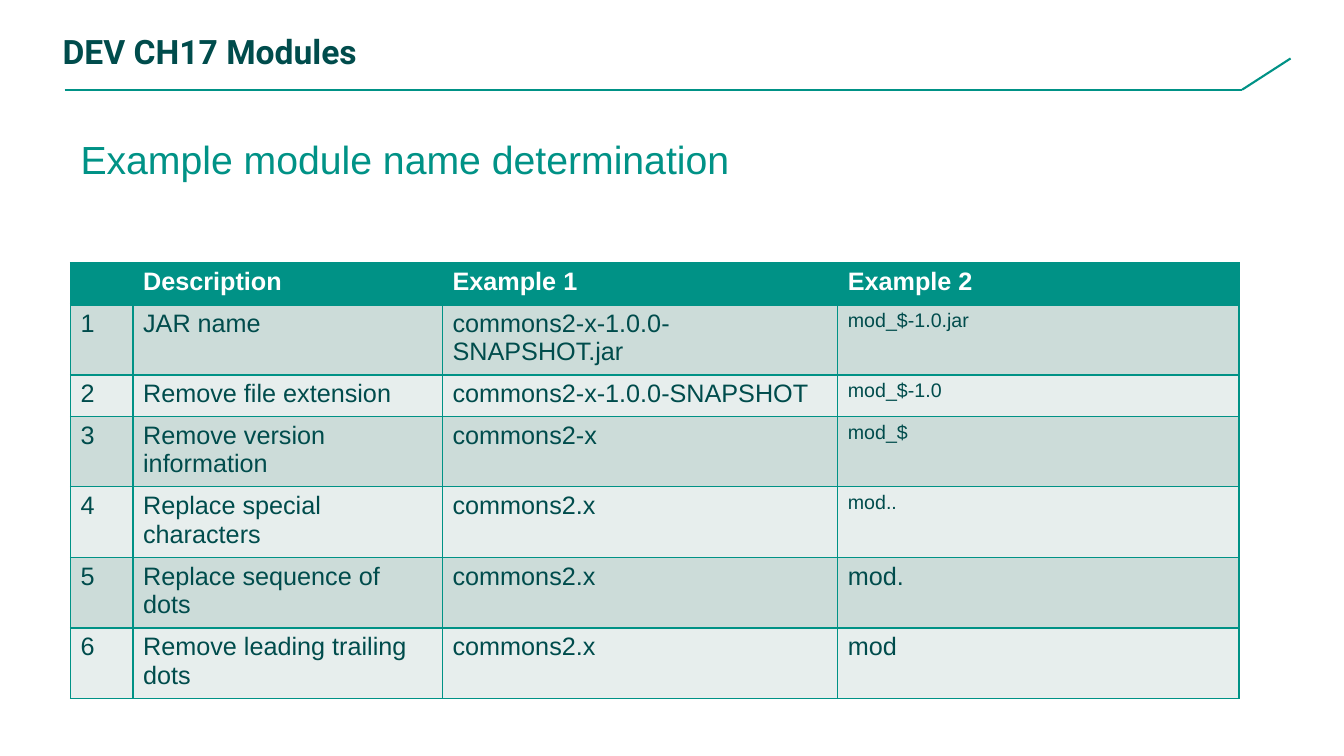
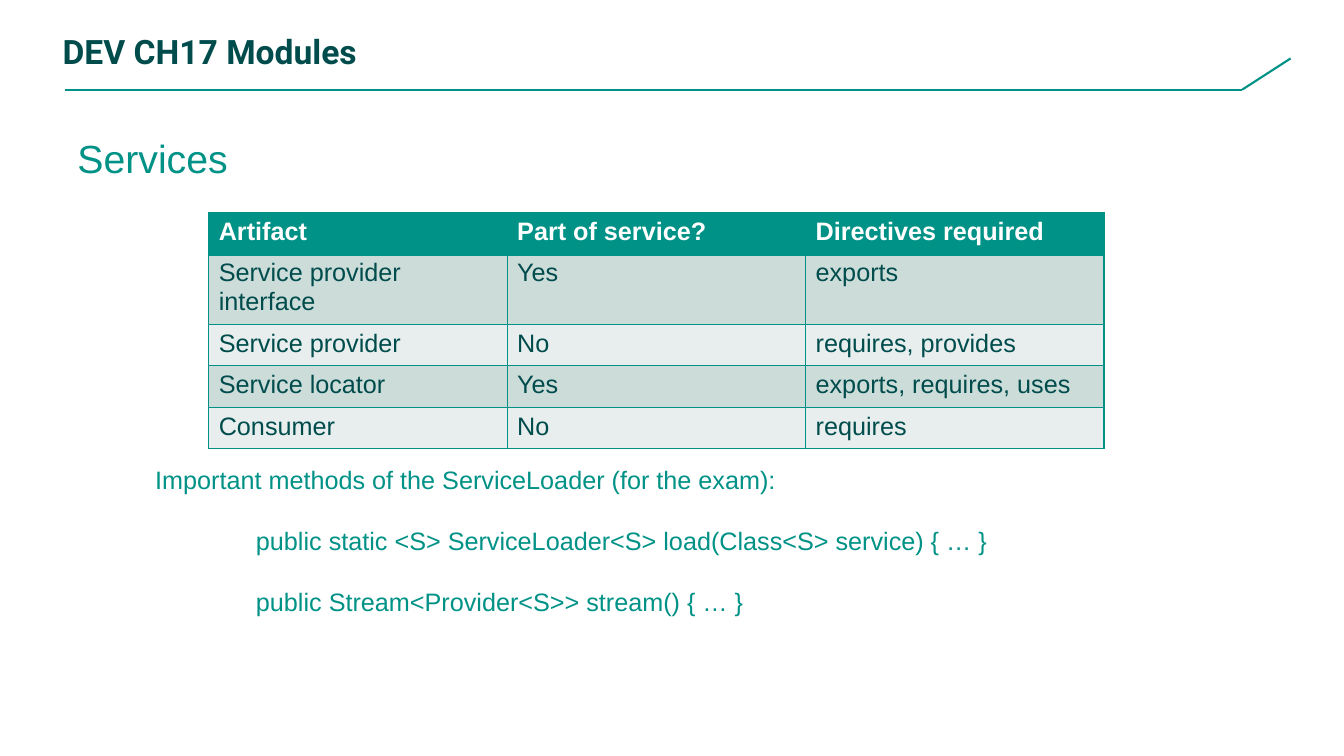
from dataclasses import dataclass

from lxml import etree
from pptx import Presentation
from pptx import util as u
from pptx.dml.color import RGBColor
from pptx.enum import shapes, text
from pptx.oxml import ns


@dataclass(frozen=True)
class Theme:
    teal: str = "009286"
    ink: str = "004C4C"
    white: str = "FFFFFF"
    bands: tuple = ("CCDCD9", "E7EEED")
    title_font: str = "Roboto"
    body_font: str = "Arial"
    title_size: float = 24
    heading_size: float = 28
    body_size: float = 18
    small_size: float = 14
    rule_width: float = 1.5
    border_width: float = 1
    header_border_width: float = 3


THEME = Theme()
SECTION = "DEV CH17 Modules"
RULE_POINTS = [(0.64, 0.89), (12.32, 0.89), (12.8, 0.58)]
ONE_LINE, TWO_LINES = 0.41, 0.66

SLIDES = [
    {
        "heading": "Example module name determination",
        "heading_box": (0.7, 1.29, 9.85, 0.57),
        "table_at": (0.7, 2.61),
        "columns": [0.62, 3.07, 3.92, 3.98],
        "heights": [ONE_LINE, TWO_LINES, ONE_LINE] + [TWO_LINES] * 4,
        "rows": [
            ("", "Description", "Example 1", "Example 2"),
            ("1", "JAR name", "commons2‐x‐1.0.0‐SNAPSHOT.jar", "mod_$‐1.0.jar"),
            ("2", "Remove file extension", "commons2‐x‐1.0.0‐SNAPSHOT", "mod_$‐1.0"),
            ("3", "Remove version information", "commons2‐x", "mod_$"),
            ("4", "Replace special characters", "commons2.x", "mod.."),
            ("5", "Replace sequence of dots", "commons2.x", "mod."),
            ("6", "Remove leading trailing dots", "commons2.x", "mod"),
        ],
        "small_cells": [(row, 3) for row in range(1, 5)],
    },
    {
        "heading": "Services",
        "heading_box": (0.67, 1.28, 11.69, 0.57),
        "table_at": (2.07, 2.11),
        "columns": [2.96] * 3,
        "heights": [ONE_LINE, 0.68] + [ONE_LINE] * 3,
        "rows": [
            ("Artifact", "Part of service?", "Directives required"),
            ("Service provider interface", "Yes", "exports"),
            ("Service provider", "No", "requires, provides"),
            ("Service locator", "Yes", "exports, requires, uses"),
            ("Consumer", "No", "requires"),
        ],
        "methods_box": (1.44, 4.56, 10.15, 1.62),
        "methods": [
            "Important methods of the ServiceLoader (for the exam):",
            "public static <S> ServiceLoader<S> load(Class<S> service) { … }",
            "public Stream<Provider<S>> stream() { … }",
        ],
    },
]


def inches(values):
    return [u.Inches(value) for value in values]


def style_runs(paragraph, size, color, font=THEME.body_font, bold=False):
    for run in paragraph.runs:
        run.font.size = u.Pt(size)
        run.font.name = font
        run.font.bold = bold
        run.font.color.rgb = RGBColor.from_string(color)


def add_title(slide):
    title = slide.shapes.title
    title.left, title.top, title.width, title.height = inches((0.52, 0.21, 12.6, 0.55))
    frame = title.text_frame
    frame.text = SECTION
    frame.auto_size = text.MSO_AUTO_SIZE.NONE
    frame.vertical_anchor = text.MSO_ANCHOR.BOTTOM
    paragraph = frame.paragraphs[0]
    paragraph.alignment = text.PP_ALIGN.LEFT
    paragraph.line_spacing = u.Pt(18.8)
    style_runs(paragraph, THEME.title_size, THEME.ink, THEME.title_font, True)


def add_rule(slide):
    for start, end in zip(RULE_POINTS, RULE_POINTS[1:]):
        rule = slide.shapes.add_connector(
            shapes.MSO_CONNECTOR.STRAIGHT, *inches(start + end))
        rule.line.color.rgb = RGBColor.from_string(THEME.teal)
        rule.line.width = u.Pt(THEME.rule_width)
        etree.SubElement(rule.line._get_or_add_ln().getparent(), ns.qn("a:effectLst"))


def add_text(slide, box, lines, size, gap=0, indent=0):
    frame = slide.shapes.add_textbox(*inches(box)).text_frame
    frame.word_wrap = True
    frame.text = "\n".join(lines)
    for index, paragraph in enumerate(frame.paragraphs):
        if index:
            paragraph.space_before = u.Pt(gap)
            paragraph._p.get_or_add_pPr().set("marL", str(u.Inches(indent)))
        style_runs(paragraph, size, THEME.teal)


def set_borders(cell, bottom_width):
    properties = cell._tc.get_or_add_tcPr()
    for index, side in enumerate("LRTB"):
        width = bottom_width if side == "B" else THEME.border_width
        border = etree.Element(ns.qn(f"a:ln{side}"), w=str(u.Pt(width)))
        fill = etree.SubElement(border, ns.qn("a:solidFill"))
        etree.SubElement(fill, ns.qn("a:srgbClr"), val=THEME.teal)
        properties.insert(index, border)


def add_grid(slide, content):
    rows, columns, heights = content["rows"], content["columns"], content["heights"]
    size = (sum(columns), sum(heights))
    table = slide.shapes.add_table(
        len(rows), len(columns), *inches(content["table_at"] + size)).table
    table.horz_banding = False
    for column, width in zip(table.columns, columns):
        column.width = u.Inches(width)
    for row, height in zip(table.rows, heights):
        row.height = u.Inches(height)
    small_cells = content.get("small_cells", [])
    for r, values in enumerate(rows):
        header = r == 0
        for c, value in enumerate(values):
            cell = table.cell(r, c)
            cell.text_frame.text = value
            style_runs(
                cell.text_frame.paragraphs[0],
                THEME.small_size if (r, c) in small_cells else THEME.body_size,
                THEME.white if header else THEME.ink,
                bold=header)
            cell.fill.solid()
            cell.fill.fore_color.rgb = RGBColor.from_string(
                THEME.teal if header else THEME.bands[(r - 1) % 2])
            set_borders(
                cell, THEME.header_border_width if header else THEME.border_width)


def main():
    deck = Presentation()
    deck.slide_width, deck.slide_height = inches((13.33, 7.5))
    title_only = deck.slide_layouts[5]
    for content in SLIDES:
        slide = deck.slides.add_slide(title_only)
        add_rule(slide)
        add_title(slide)
        add_text(slide, content["heading_box"], [content["heading"]], THEME.heading_size)
        add_grid(slide, content)
        if "methods" in content:
            add_text(slide, content["methods_box"], content["methods"],
                     THEME.body_size, gap=22, indent=1)
    deck.save("out.pptx")


if __name__ == "__main__":
    main()
